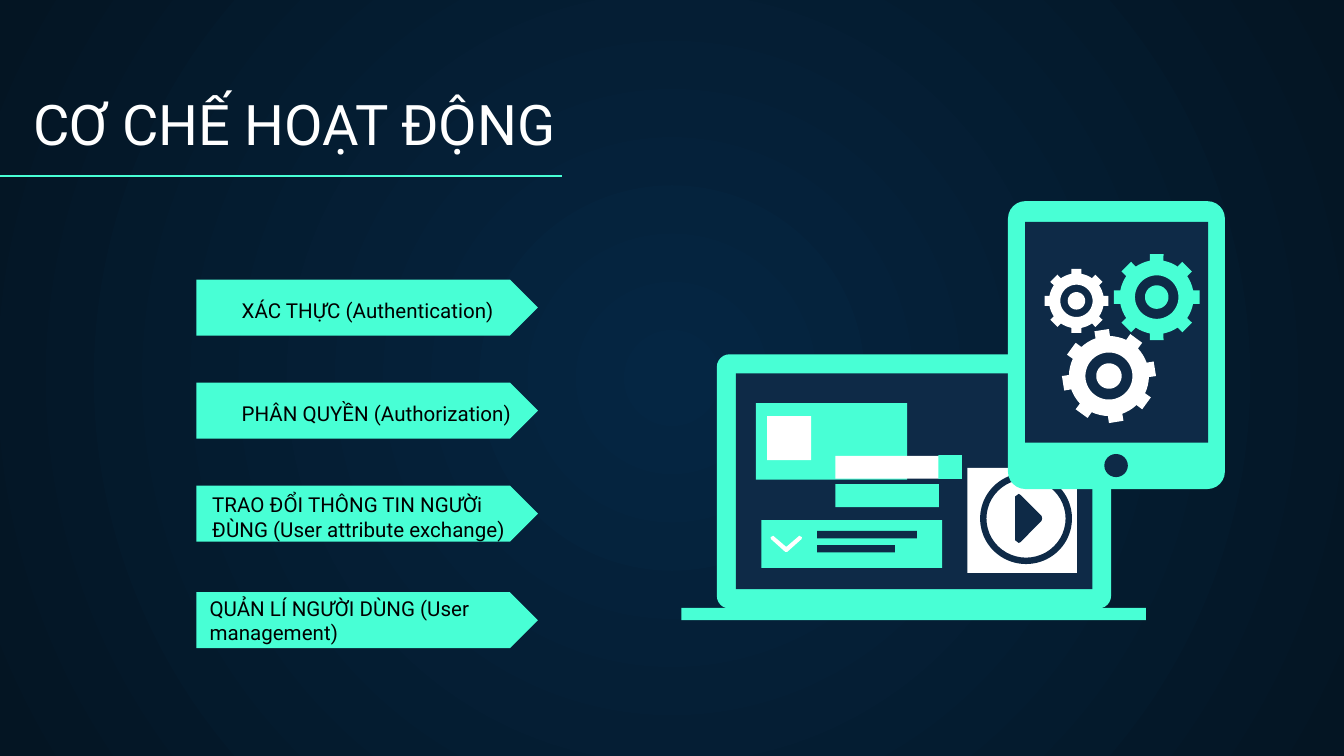
from math import cos, radians, sin

from lxml import etree
from pptx import Presentation
from pptx import util as u
from pptx.dml.color import RGBColor
from pptx.enum import shapes, text
from pptx.oxml.ns import qn

MINT, NAVY, WHITE, BLACK = "48FFD5", "0E2A47", "FFFFFF", "000000"
KIND = shapes.MSO_SHAPE


def rgb(value):
    """Turn a hex string into a colour."""
    return RGBColor.from_string(value)


def paint(sp, color):
    """Give a shape a flat fill without line or shadow."""
    sp.shadow.inherit = False
    sp.fill.solid()
    sp.fill.fore_color.rgb = rgb(color)
    sp.line.fill.background()
    return sp


def block(s, x, y, w, h, color, kind=KIND.RECTANGLE, adj=None):
    """Add a preset shape measured in points."""
    sp = s.shapes.add_shape(kind, u.Pt(x), u.Pt(y), u.Pt(w), u.Pt(h))
    if adj is not None:
        sp.adjustments[0] = adj
    return paint(sp, color)


def outline(s, contours, color):
    """Add a freeform made of closed contours in points."""
    fb = None
    for contour in contours:
        pts = [(u.Pt(x), u.Pt(y)) for x, y in contour]
        if fb is None:
            fb = s.shapes.build_freeform(*pts[0])
        else:
            fb.move_to(*pts[0])
        fb.add_line_segments(pts[1:], close=True)
    return paint(fb.convert_to_shape(), color)


def write(sp, words, size=11, color=BLACK, anchor=text.MSO_ANCHOR.BOTTOM):
    """Put one left-aligned paragraph into a shape."""
    tf = sp.text_frame
    tf.word_wrap = True
    tf.auto_size = text.MSO_AUTO_SIZE.NONE
    tf.vertical_anchor = anchor
    tf.margin_left = tf.margin_right = tf.margin_top = tf.margin_bottom = u.Pt(7.2)
    p = tf.paragraphs[0]
    p.alignment = text.PP_ALIGN.LEFT
    r = p.add_run()
    r.text = words
    r.font.name, r.font.size = "Roboto", u.Pt(size)
    r.font.color.rgb = rgb(color)


def label(s, x, y, w, h, words):
    """Add a text box for an arrow label."""
    write(s.shapes.add_textbox(u.Pt(x), u.Pt(y), u.Pt(w), u.Pt(h)), words)


def rule(s, x1, x2, y):
    """Add a horizontal line."""
    sp = s.shapes.add_connector(shapes.MSO_CONNECTOR.STRAIGHT,
                                u.Pt(x1), u.Pt(y), u.Pt(x2), u.Pt(y))
    sp.line.color.rgb = rgb(MINT)
    sp.line.width = u.Pt(0.75)
    etree.SubElement(sp._element.spPr, qn("a:effectLst"))


def gear(s, cx, cy, radius, color, turn=0):
    """Add an eight-toothed gear with a ring-shaped hole."""
    def point(angle, share):
        a = radians(angle + turn)
        return cx + radius * share * sin(a), cy - radius * share * cos(a)

    teeth = []
    for mid in range(0, 360, 45):
        teeth += [point(mid + d, share) for d, share in
                  ((-10.5, 0.85), (-9, 1), (9, 1), (10.5, 0.85), (16, 0.85), (22.5, 0.85), (29, 0.85))]
    rings = [[point(a, share) for a in range(0, 360, 6)] for share in (0.5, 0.27)]
    outline(s, [teeth, *rings], color)


def background(s):
    """Fill the slide with a circular gradient."""
    fill = s.background.fill
    fill.gradient()
    for stop, color in zip(fill.gradient_stops, ("052643", "041523")):
        stop.color.rgb = rgb(color)
    grad = s.element.find(".//" + qn("a:gradFill"))
    lin = grad.find(qn("a:lin"))
    circle = etree.Element(qn("a:path"), path="circle")
    etree.SubElement(circle, qn("a:fillToRect"), l="50000", t="50000", r="50000", b="50000")
    grad.replace(lin, circle)


def steps(s):
    """Add the four arrows and their labels."""
    arrows = [block(s, 105.2, y, 183, 30, MINT, KIND.PENTAGON, 0.5)
              for y in (149.8, 205, 260.2, 317.3)]
    label(s, 122.4, 152, 163.4, 28, "XÁC THỰC (Authentication)")
    label(s, 122.4, 207.2, 163.4, 28, "PHÂN QUYỀN (Authorization)")
    label(s, 106.6, 256.4, 190, 41, "TRAO ĐỔI THÔNG TIN NGƯỜi ĐÙNG (User attribute exchange)")
    write(arrows[3], "QUẢN LÍ NGƯỜI DÙNG (User management)", anchor=text.MSO_ANCHOR.MIDDLE)


def laptop(s):
    """Draw the laptop and the panels on its screen."""
    block(s, 384, 189.8, 211.2, 136.2, MINT, KIND.ROUNDED_RECTANGLE, 0.05)
    for x, y, w, h, color in (
            (394.2, 200, 191, 115.6, NAVY), (365, 325.7, 249, 6.6, MINT),
            (405, 216, 81, 41, MINT), (411, 222.9, 23.6, 23.6, WHITE),
            (407.9, 278.6, 96.8, 25.7, MINT), (437.8, 284.4, 53.4, 4, NAVY),
            (437.8, 292, 41.6, 4, NAVY), (447.5, 259.4, 55.5, 12.3, MINT),
            (447.5, 244.2, 55.5, 12.3, WHITE), (502.7, 243.9, 12.7, 12.7, MINT),
            (518.2, 250.7, 58.7, 56.3, WHITE)):
        block(s, x, y, w, h, color)
    outline(s, [[(412.8, 287.8), (414.2, 287), (421.2, 293), (428.2, 287), (429.6, 287.8),
                 (429.4, 288.8), (421.8, 295.6), (420.6, 295.6), (413, 288.8)]], WHITE)
    block(s, 525.1, 253.4, 49.2, 48.8, NAVY, KIND.DONUT, 0.07)
    outline(s, [[(543.8, 266), (545.8, 264.6), (546.8, 265.2), (558, 276.4), (558.3, 277.7),
                 (558, 279), (546.8, 290.4), (545.8, 290.9), (543.8, 289.4)]], NAVY)


def tablet(s):
    """Draw the tablet with three gears."""
    block(s, 540, 107.8, 116.2, 154.2, MINT, KIND.ROUNDED_RECTANGLE, 0.08)
    block(s, 549.2, 118.8, 98, 118.4, NAVY)
    block(s, 591.6, 243.2, 12.6, 12.4, NAVY, KIND.OVAL)
    gear(s, 619.7, 159.2, 23.3, MINT)
    gear(s, 576.7, 161.2, 17.3, WHITE)
    gear(s, 594.1, 201.5, 25.2, WHITE, turn=-9)


def main():
    """Build and save the slide."""
    prs = Presentation()
    prs.slide_width, prs.slide_height = u.Pt(720), u.Pt(405)
    s = prs.slides.add_slide(prs.slide_layouts[5])
    background(s)
    title = s.shapes.title
    title.left, title.top, title.width, title.height = map(u.Pt, (10.8, 43.9, 617, 47.5))
    write(title, "CƠ CHẾ HOẠT ĐỘNG", size=30, color=WHITE)
    rule(s, 0, 301, 94.3)
    steps(s)
    laptop(s)
    tablet(s)
    prs.save("out.pptx")


if __name__ == "__main__":
    main()
